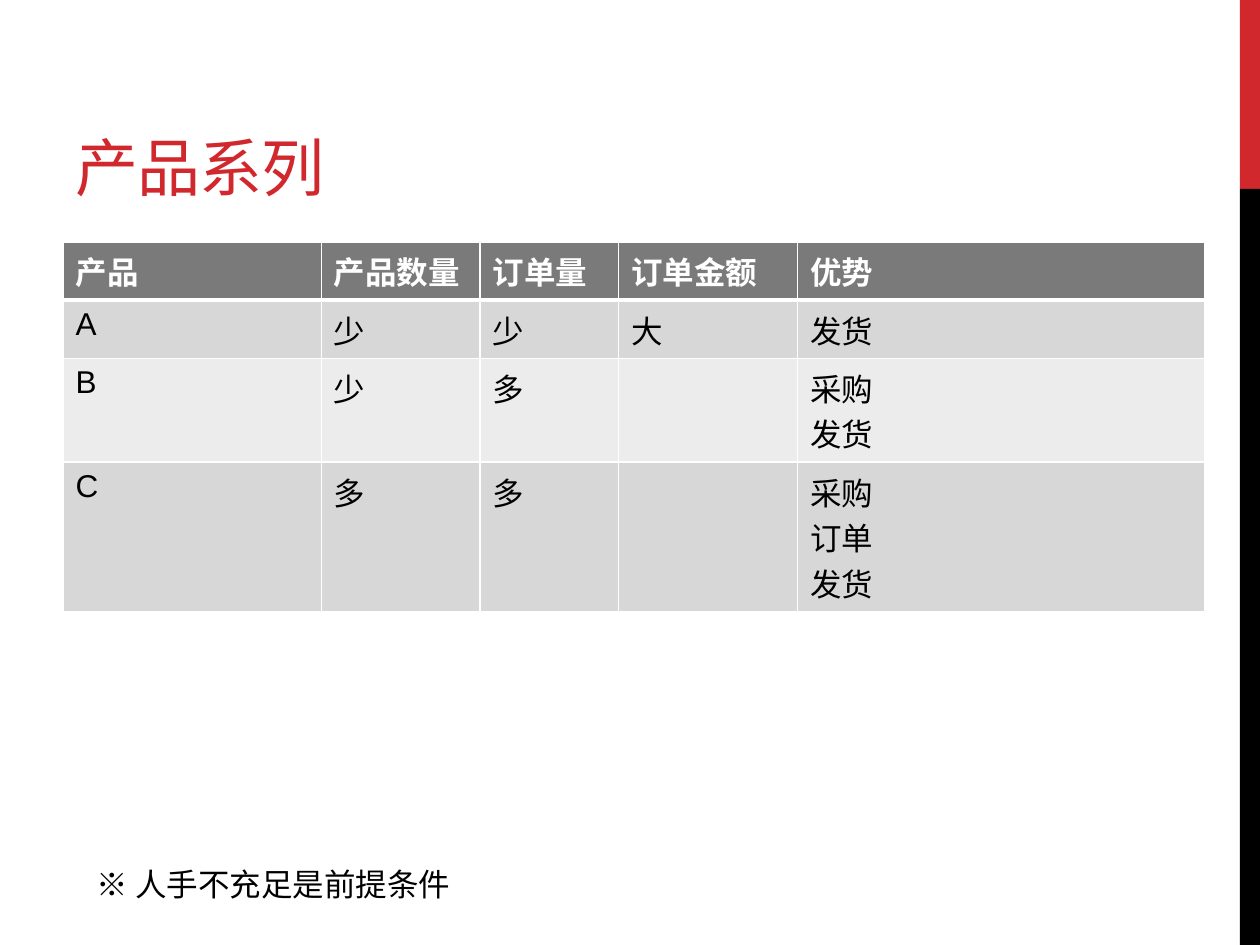
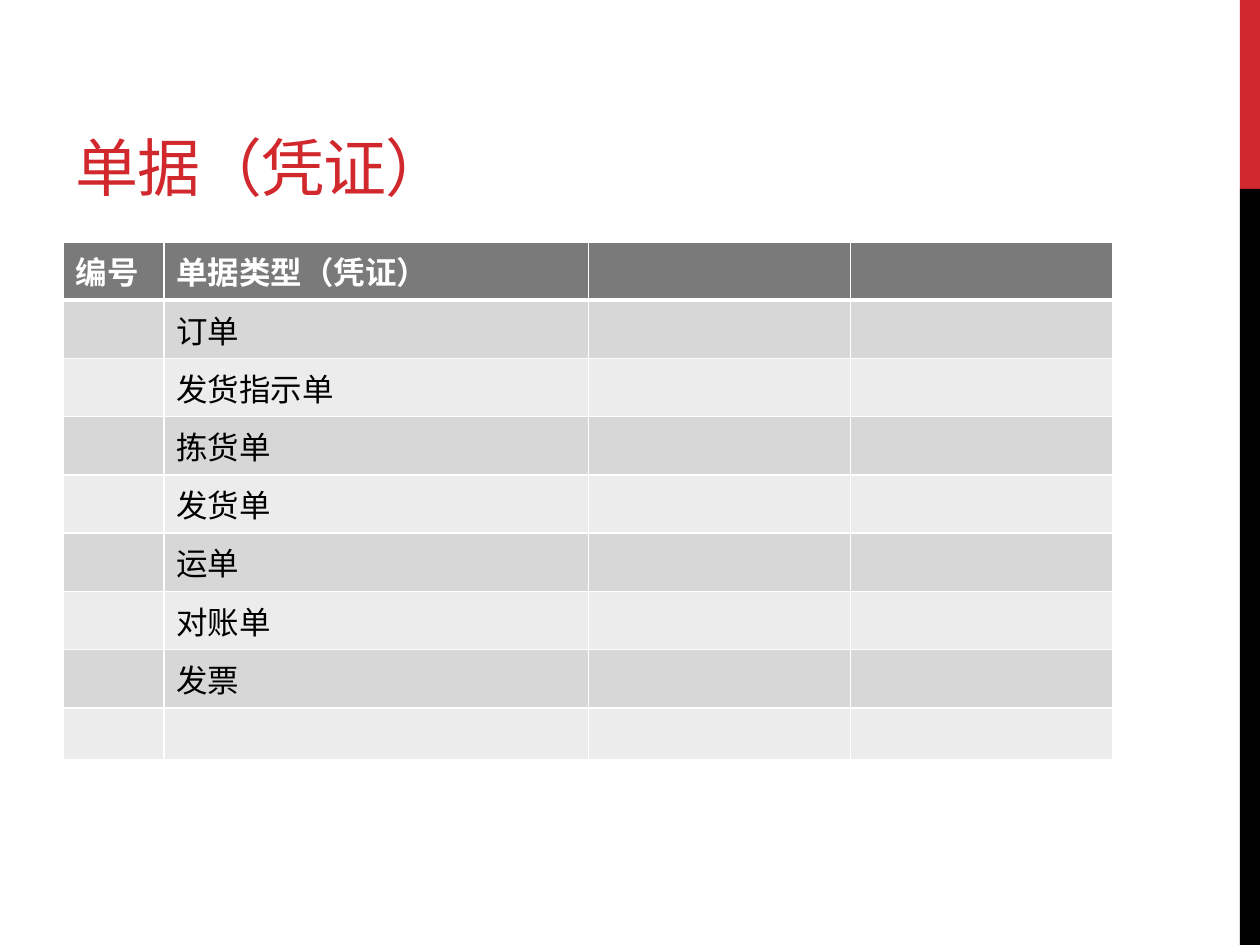
from lxml.etree import SubElement
from pptx import Presentation
from pptx.dml.color import RGBColor
from pptx.enum.shapes import MSO_SHAPE
from pptx.enum.text import MSO_ANCHOR, MSO_AUTO_SIZE, PP_ALIGN
from pptx.oxml.ns import qn
from pptx.util import Inches, Pt

RED = RGBColor(0xD1, 0x28, 0x2E)
BLACK = RGBColor(0x00, 0x00, 0x00)
WHITE = RGBColor(0xFF, 0xFF, 0xFF)
HEADER_GREY = RGBColor(0x7A, 0x7A, 0x7A)
ROW_GREYS = (RGBColor(0xD7, 0xD7, 0xD7), RGBColor(0xEC, 0xEC, 0xEC))

TITLE_FONT = "Montserrat"
BODY_FONT = "Arial"
BODY_SIZE = 18
LEFT = 0.5
TABLE_TOP = 1.92
ROW_HEIGHT = 0.41
BAND_LEFT, BAND_WIDTH, BAND_SPLIT = 9.84, 0.16, 1.5
SLIDE_WIDTH, SLIDE_HEIGHT = 10, 7.5

PRODUCT_COLUMNS = (2.05, 1.26, 1.1, 1.42, 3.23)
PRODUCT_ROWS = (
    ("产品", "产品数量", "订单量", "订单金额", "优势"),
    ("A", "少", "少", "大", "发货"),
    ("B", "少", "多", "", "采购\n发货"),
    ("C", "多", "多", "", "采购\n订单\n发货"),
)
DOCUMENT_COLUMNS = (0.8, 3.37, 2.08, 2.08)
DOCUMENT_TYPES = ("订单", "发货指示单", "拣货单", "发货单", "运单", "对账单", "发票", "")


def format_text(frame, font, size, color, bold=False):
    """Give every run in a text frame the same font."""
    for para in frame.paragraphs:
        for span in para.runs:
            span.font.name = font
            span.font.size = Pt(size)
            span.font.bold = bold
            span.font.color.rgb = color


def add_band(page, layout, top, height, color):
    """Draw one part of the right-hand band and move it to the layout."""
    band = page.shapes.add_shape(
        MSO_SHAPE.RECTANGLE, Inches(BAND_LEFT), Inches(top), Inches(BAND_WIDTH), Inches(height)
    )
    band.shadow.inherit = False
    band.fill.solid()
    band.fill.fore_color.rgb = color
    band.line.fill.background()
    layout.shapes.element.append(band.element)


def add_page(deck, layout, title):
    """Add a slide with the shared title style."""
    page = deck.slides.add_slide(layout)
    box = page.shapes.title
    box.left, box.top = Inches(LEFT), Inches(0.17)
    box.width, box.height = Inches(6.33), Inches(1.5)
    frame = box.text_frame
    frame.text = title
    frame.vertical_anchor = MSO_ANCHOR.BOTTOM
    frame.auto_size = MSO_AUTO_SIZE.NONE
    frame.paragraphs[0].alignment = PP_ALIGN.LEFT
    format_text(frame, TITLE_FONT, 36, RED)
    for span in frame.paragraphs[0].runs:
        span.font.element.set("spc", "-60") if hasattr(span.font, "element") else \
            span._r.get_or_add_rPr().set("spc", "-60")
    return page


def set_borders(cell, top, bottom):
    """Put white borders around a cell; top and bottom are widths in points."""
    properties = cell._tc.get_or_add_tcPr()
    for side, width in (("L", 1), ("R", 1), ("T", top), ("B", bottom)):
        line = SubElement(properties, qn(f"a:ln{side}"), w=str(Pt(width)))
        fill = SubElement(line, qn("a:solidFill"))
        SubElement(fill, qn("a:srgbClr"), val=str(WHITE))


def add_grid(page, columns, rows):
    """Add a table with a dark header and alternating grey rows."""
    table = page.shapes.add_table(
        len(rows), len(columns), Inches(LEFT), Inches(TABLE_TOP),
        Inches(sum(columns)), Inches(ROW_HEIGHT * len(rows)),
    ).table
    for column, width in zip(table.columns, columns):
        column.width = Inches(width)
    for row_index, values in enumerate(rows):
        header = row_index == 0
        for column_index, value in enumerate(values):
            cell = table.cell(row_index, column_index)
            set_borders(cell, top=3 if row_index == 1 else 1, bottom=3 if header else 1)
            cell.fill.solid()
            cell.fill.fore_color.rgb = HEADER_GREY if header else ROW_GREYS[(row_index - 1) % 2]
            cell.text_frame.text = value
            format_text(cell.text_frame, BODY_FONT, BODY_SIZE, WHITE if header else BLACK, header)


def add_note(page, text):
    """Add the remark at the foot of a slide."""
    box = page.shapes.add_textbox(Inches(0.67), Inches(6.82), Inches(4.33), Inches(0.4))
    frame = box.text_frame
    frame.word_wrap = True
    frame.auto_size = MSO_AUTO_SIZE.SHAPE_TO_FIT_TEXT
    frame.text = text
    format_text(frame, BODY_FONT, BODY_SIZE, BLACK)


def main():
    """Build the two slides and save the deck."""
    deck = Presentation()
    deck.slide_width, deck.slide_height = Inches(SLIDE_WIDTH), Inches(SLIDE_HEIGHT)
    layout = deck.slide_layouts.get_by_name("Title Only")

    products = add_page(deck, layout, "产品系列")
    add_band(products, layout, 0, BAND_SPLIT, RED)
    add_band(products, layout, BAND_SPLIT, SLIDE_HEIGHT - BAND_SPLIT, BLACK)
    add_grid(products, PRODUCT_COLUMNS, PRODUCT_ROWS)
    add_note(products, "※ 人手不充足是前提条件")

    documents = add_page(deck, layout, "单据（凭证）")
    document_rows = [("编号", "单据类型（凭证）", "", "")]
    document_rows += [("", name, "", "") for name in DOCUMENT_TYPES]
    add_grid(documents, DOCUMENT_COLUMNS, document_rows)

    deck.save("out.pptx")


main()
